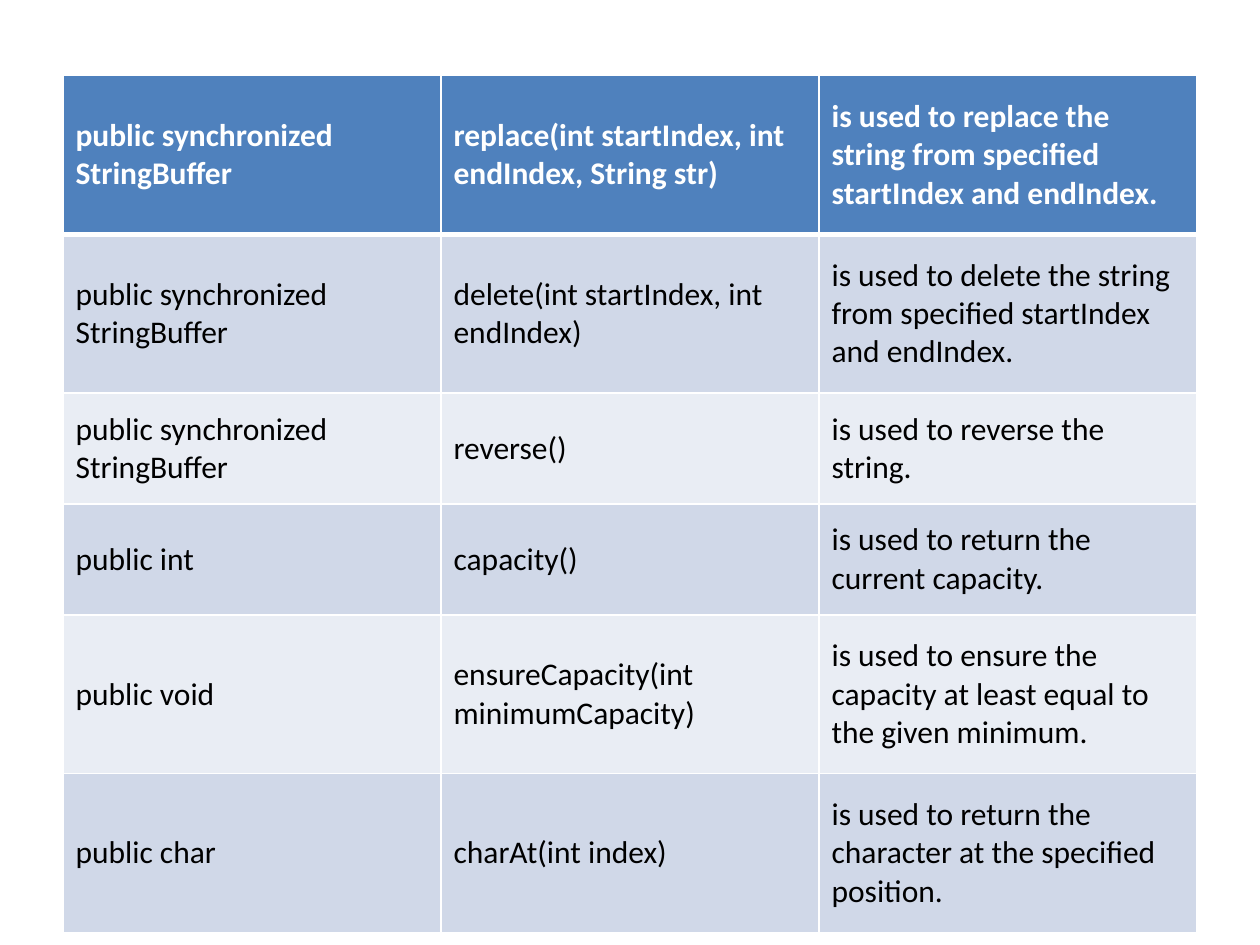
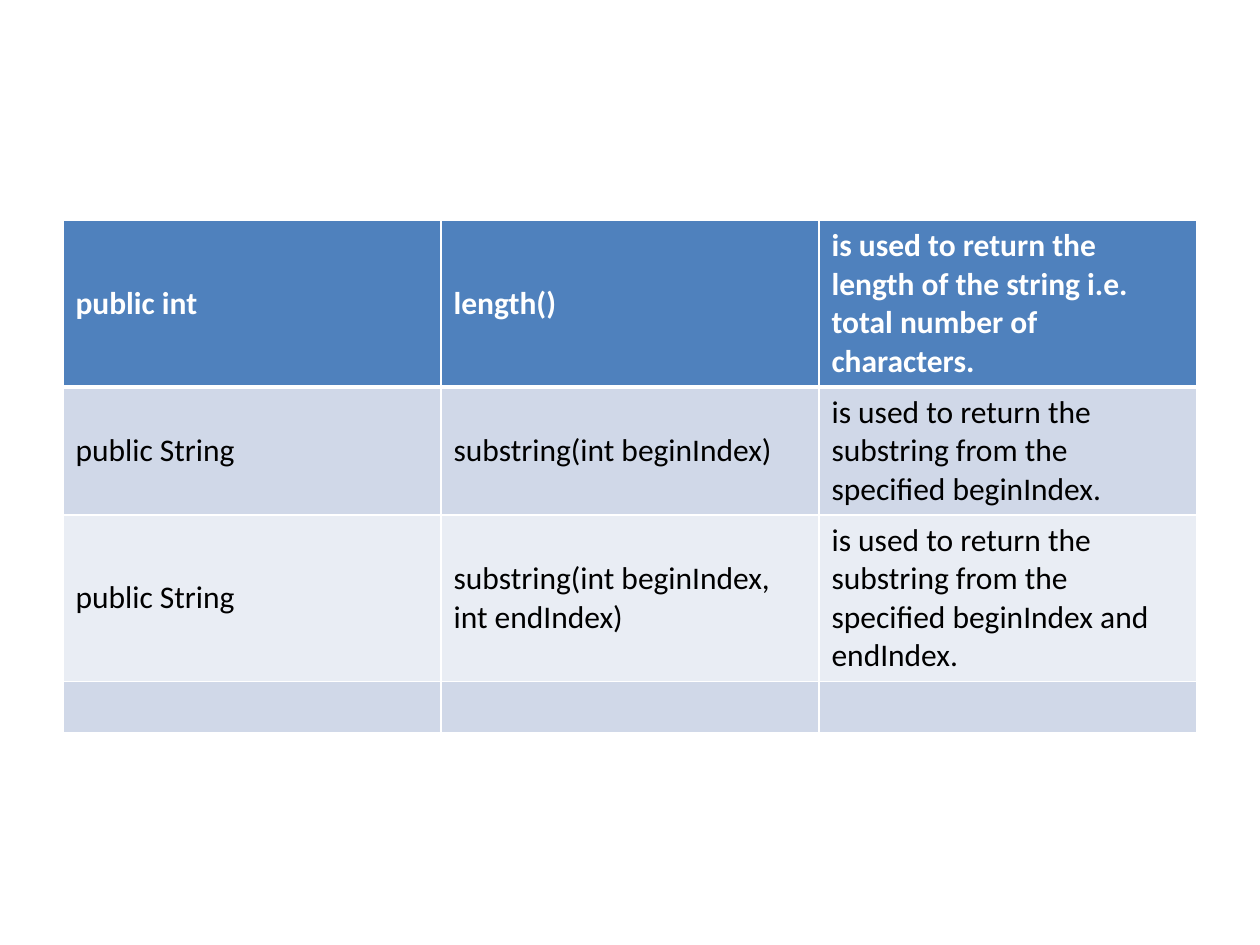
from lxml.etree import SubElement
from pptx import Presentation
from pptx.dml.color import RGBColor
from pptx.enum.text import MSO_ANCHOR
from pptx.oxml.ns import qn
from pptx.util import Inches, Pt

# Shared style
FONT = "Calibri"
FONT_SIZE = Pt(18)
WHITE = RGBColor(0xFF, 0xFF, 0xFF)
BLACK = RGBColor(0x00, 0x00, 0x00)
HEADER_BLUE = RGBColor(0x4F, 0x81, 0xBD)
BAND_DARK = RGBColor(0xD0, 0xD8, 0xE8)
BAND_LIGHT = RGBColor(0xE9, 0xED, 0xF4)
TABLE_LEFT = 0.5
COLUMN_WIDTH = 3
COLUMN_COUNT = 3

# Table contents: top edge, row heights and rows of each slide
METHOD_TABLES = [
    (0.6, [1.26, 1.26, 0.88, 0.88, 1.26, 1.26], [
        ("public synchronized StringBuffer",
         "replace(int startIndex, int endIndex, String str)",
         "is used to replace the string from specified startIndex and endIndex."),
        ("public synchronized StringBuffer",
         "delete(int startIndex, int endIndex)",
         "is used to delete the string from specified startIndex and endIndex."),
        ("public synchronized StringBuffer", "reverse()",
         "is used to reverse the string."),
        ("public int", "capacity()",
         "is used to return the current capacity."),
        ("public void", "ensureCapacity(int minimumCapacity)",
         "is used to ensure the capacity at least equal to the given minimum."),
        ("public char", "charAt(int index)",
         "is used to return the character at the specified position."),
    ]),
    (1.75, [1.32, 1.01, 1.32, 0.4], [
        ("public int", "length()",
         "is used to return the length of the string i.e. total number of characters."),
        ("public String", "substring(int beginIndex)",
         "is used to return the substring from the specified beginIndex."),
        ("public String", "substring(int beginIndex, int endIndex)",
         "is used to return the substring from the specified beginIndex and endIndex."),
        ("", "", ""),
    ]),
]


def set_borders(cell, top_width, bottom_width):
    """Draw white borders; the side borders are always one point wide."""
    properties = cell._tc.get_or_add_tcPr()
    widths = {"a:lnL": 1, "a:lnR": 1, "a:lnT": top_width, "a:lnB": bottom_width}
    for tag, width in widths.items():
        line = SubElement(properties, qn(tag), w=str(Pt(width)))
        fill = SubElement(line, qn("a:solidFill"))
        SubElement(fill, qn("a:srgbClr"), val=str(WHITE))


def style_cell(cell, row_index):
    """Give a cell its borders, band colour and font."""
    is_header = row_index == 0
    set_borders(cell, 3 if row_index == 1 else 1, 3 if is_header else 1)
    cell.fill.solid()
    if is_header:
        cell.fill.fore_color.rgb = HEADER_BLUE
    else:
        cell.fill.fore_color.rgb = BAND_DARK if row_index % 2 else BAND_LIGHT
    cell.vertical_anchor = MSO_ANCHOR.MIDDLE
    font = cell.text_frame.paragraphs[0].font
    for run in cell.text_frame.paragraphs[0].runs:
        font = run.font
        font.name = FONT
        font.size = FONT_SIZE
        font.bold = is_header
        font.color.rgb = WHITE if is_header else BLACK


presentation = Presentation()
presentation.slide_width = Inches(10)
presentation.slide_height = Inches(7.5)
blank_layout = presentation.slide_layouts[6]

# One method table per slide
for top, row_heights, method_rows in METHOD_TABLES:
    slide = presentation.slides.add_slide(blank_layout)
    table = slide.shapes.add_table(
        len(method_rows), COLUMN_COUNT, Inches(TABLE_LEFT), Inches(top),
        Inches(COLUMN_WIDTH * COLUMN_COUNT), Inches(sum(row_heights))).table
    for column in table.columns:
        column.width = Inches(COLUMN_WIDTH)
    for row_index, (height, texts) in enumerate(zip(row_heights, method_rows)):
        table.rows[row_index].height = Inches(height)
        for cell, text in zip(table.rows[row_index].cells, texts):
            if text:
                cell.text_frame.text = text
            style_cell(cell, row_index)

presentation.save("out.pptx")
